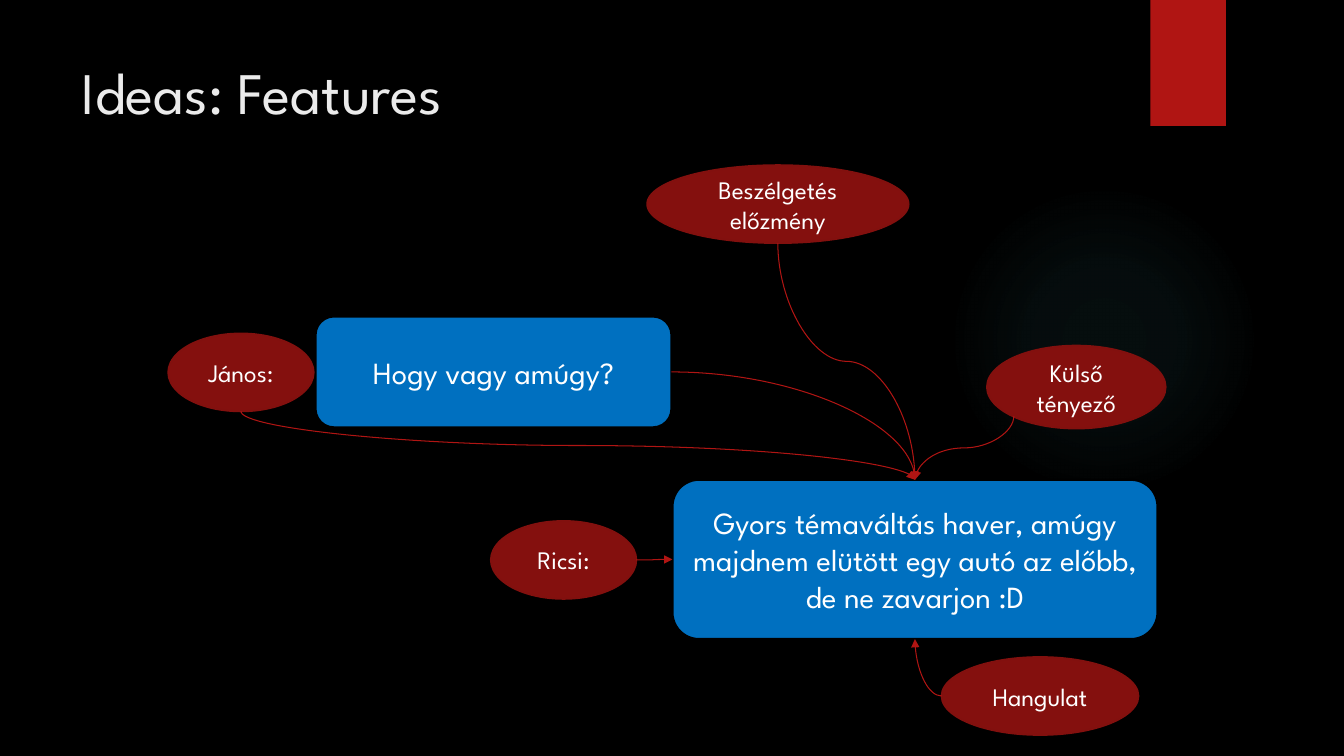
"""Build the "Ideas: Features" slide: a chat exchange and what shapes the reply."""
from lxml.etree import SubElement
from pptx import Presentation
from pptx.dml.color import RGBColor
from pptx.enum.shapes import MSO_CONNECTOR, MSO_SHAPE
from pptx.enum.text import MSO_ANCHOR, MSO_AUTO_SIZE, PP_ALIGN
from pptx.oxml import parse_xml
from pptx.oxml.ns import nsdecls, qn
from pptx.util import Inches, Pt

COLUMNS, ROWS = 13.33, 7.5
FONT = "League Spartan"
COLORS = {"back": "000000", "title": "EBEBEB", "text": "FFFFFF", "accent": "B01513",
          "message": "0070C0", "factor": "84100E", "factor_edge": "82100E", "glow": "50B9C1"}

TITLE = ("Ideas: Features", (0.71, 0.5, 10.29, 1.53))
RIBBON = (11.41, 0, 0.75, 1.25)
GLOW = (9.41, 1.83, 3.08, 3.08)
GLOW_STOPS = [(0, 7), (36, 6), (69, 0), (100, 0)]

STYLES = {
    "message": {"shape": MSO_SHAPE.ROUNDED_RECTANGLE, "edge": "back", "size": 22},
    "factor": {"shape": MSO_SHAPE.OVAL, "edge": "factor_edge", "size": 18},
}
NODES = {
    "question": ("message", "Hogy vagy amúgy?", (3.13, 3.14, 3.53, 1.1)),
    "reply": ("message", "Gyors témaváltás haver, amúgy majdnem elütött egy autó az előbb, "
              "de ne zavarjon :D", (6.67, 4.76, 4.81, 1.58)),
    "outside": ("factor", "Külső tényező", (9.79, 3.43, 1.77, 0.82)),
    "asker": ("factor", "János:", (1.67, 3.31, 1.44, 0.77)),
    "replier": ("factor", "Ricsi:", (4.87, 5.17, 1.44, 0.77)),
    "history": ("factor", "Beszélgetés előzmény", (6.42, 1.64, 2.59, 0.77)),
    "mood": ("factor", "Hangulat", (9.34, 6.52, 1.95, 0.77)),
}
SITES = {"top": (0.5, 0), "bottom": (0.5, 1), "left": (0, 0.5), "right": (1, 0.5),
         "lower left": (0.15, 0.85)}
ARROWS = [
    ("asker", "bottom", "top", "down"),
    ("question", "right", "top", "bend"),
    ("mood", "left", "bottom", "bend"),
    ("replier", "right", "left", "across"),
    ("outside", "lower left", "top", "down"),
    ("history", "bottom", "top", "down"),
]


def color(name):
    return RGBColor.from_string(COLORS[name])


def apply(target, values):
    for name, value in values.items():
        setattr(target, name, value)


def place(box):
    return [Inches(length) for length in box]


def write(shape, words, size, ink, align, anchor):
    frame = shape.text_frame
    apply(frame, {"word_wrap": True, "auto_size": MSO_AUTO_SIZE.NONE, "vertical_anchor": anchor})
    para = frame.paragraphs[0]
    para.alignment = align
    span = para.add_run()
    span.text = words
    apply(span.font, {"name": FONT, "size": Pt(size)})
    span.font.color.rgb = color(ink)


def add_block(page, kind, box, fill, edge=None):
    shape = page.shapes.add_shape(kind, *place(box))
    shape.shadow.inherit = False
    shape.fill.solid()
    shape.fill.fore_color.rgb = color(fill)
    if edge:
        shape.line.color.rgb = color(edge)
        shape.line.width = Pt(1.5)
    else:
        shape.line.fill.background()
    return shape


def add_glow(page):
    shape = add_block(page, MSO_SHAPE.OVAL, GLOW, "glow")
    stops = "".join(
        f'<a:gs pos="{spot * 1000}"><a:srgbClr val="{COLORS["glow"]}">'
        f'<a:alpha val="{alpha * 1000}"/></a:srgbClr></a:gs>' for spot, alpha in GLOW_STOPS)
    gradient = parse_xml(
        f'<a:gradFill {nsdecls("a")}><a:gsLst>{stops}</a:gsLst><a:path path="circle">'
        '<a:fillToRect l="50000" t="50000" r="50000" b="50000"/></a:path></a:gradFill>')
    properties = shape.element.spPr
    properties.replace(properties.find(qn("a:solidFill")), gradient)


def site(node, side):
    left, top, width, height = NODES[node][2]
    across, down = SITES[side]
    return left + across * width, top + down * height


def add_arrow(page, source, start_side, end_side, route):
    (x1, y1), (x2, y2) = site(source, start_side), site("reply", end_side)
    turn = 0
    if route == "down":
        middle_x, middle_y = (x1 + x2) / 2, (y1 + y2) / 2
        half_width, half_height = (y2 - y1) / 2, abs(x2 - x1) / 2
        turn, sign = (270, 1) if x2 > x1 else (90, -1)
        x1, x2 = middle_x + sign * half_width, middle_x - sign * half_width
        y1, y2 = middle_y - half_height, middle_y + half_height
    arrow = page.shapes.add_connector(MSO_CONNECTOR.CURVE, *place((x1, y1, x2, y2)))
    arrow.line.color.rgb = color("accent")
    arrow.line.width = Pt(0.75)
    properties = arrow.element.spPr
    if turn:
        properties.find(qn("a:xfrm")).set("rot", str(turn * 60000))
    if route == "bend":
        properties.find(qn("a:prstGeom")).set("prst", "curvedConnector2")
    SubElement(properties.find(qn("a:ln")), qn("a:tailEnd"), type="triangle")
    SubElement(properties, qn("a:effectLst"))


def main():
    deck = Presentation()
    apply(deck, {"slide_width": Inches(COLUMNS), "slide_height": Inches(ROWS)})
    page = deck.slides.add_slide(deck.slide_layouts[5])
    page.background.fill.solid()
    page.background.fill.fore_color.rgb = color("back")

    add_glow(page)
    add_block(page, MSO_SHAPE.RECTANGLE, RIBBON, "accent")
    words, box = TITLE
    title = page.shapes.title
    apply(title, dict(zip(("left", "top", "width", "height"), place(box))))
    write(title, words, 42, "title", PP_ALIGN.LEFT, MSO_ANCHOR.TOP)

    for kind, words, box in NODES.values():
        style = STYLES[kind]
        block = add_block(page, style["shape"], box, kind, style["edge"])
        write(block, words, style["size"], "text", PP_ALIGN.CENTER, MSO_ANCHOR.MIDDLE)
    for arrow in ARROWS:
        add_arrow(page, *arrow)
    deck.save("out.pptx")


if __name__ == "__main__":
    main()
